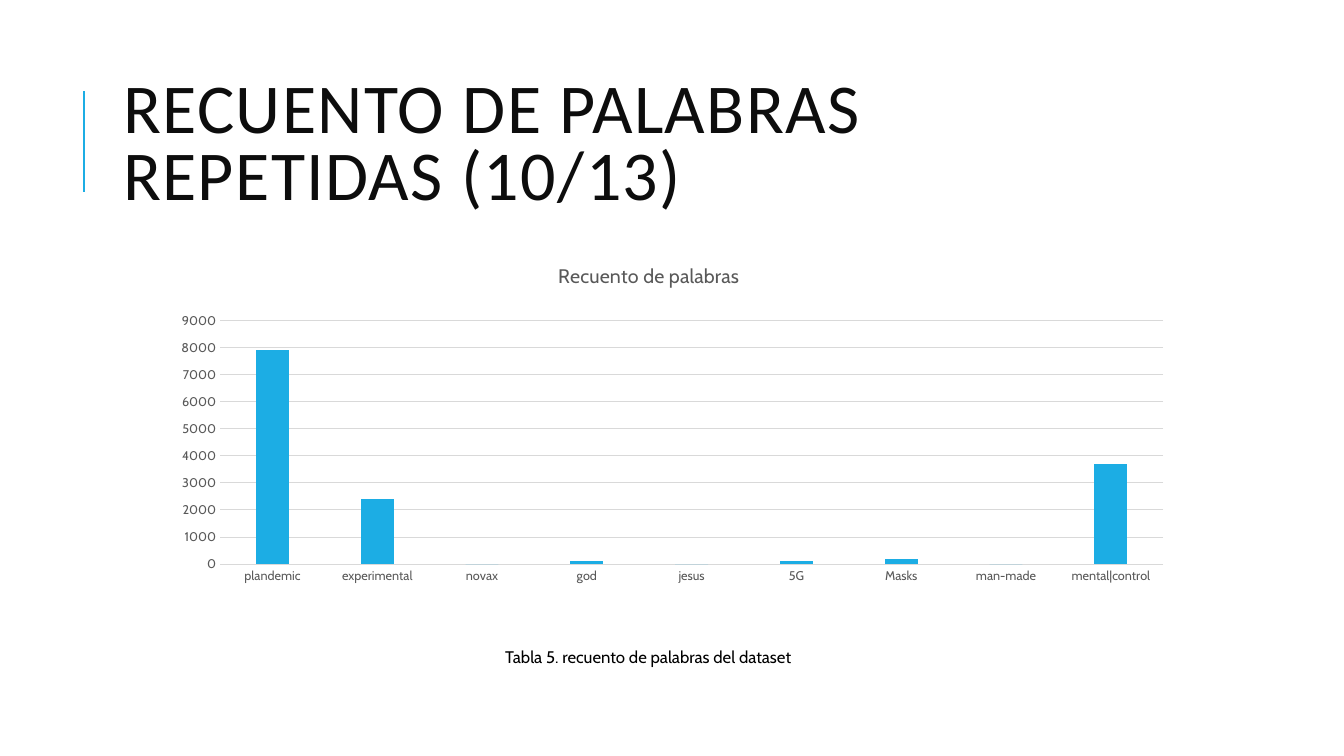
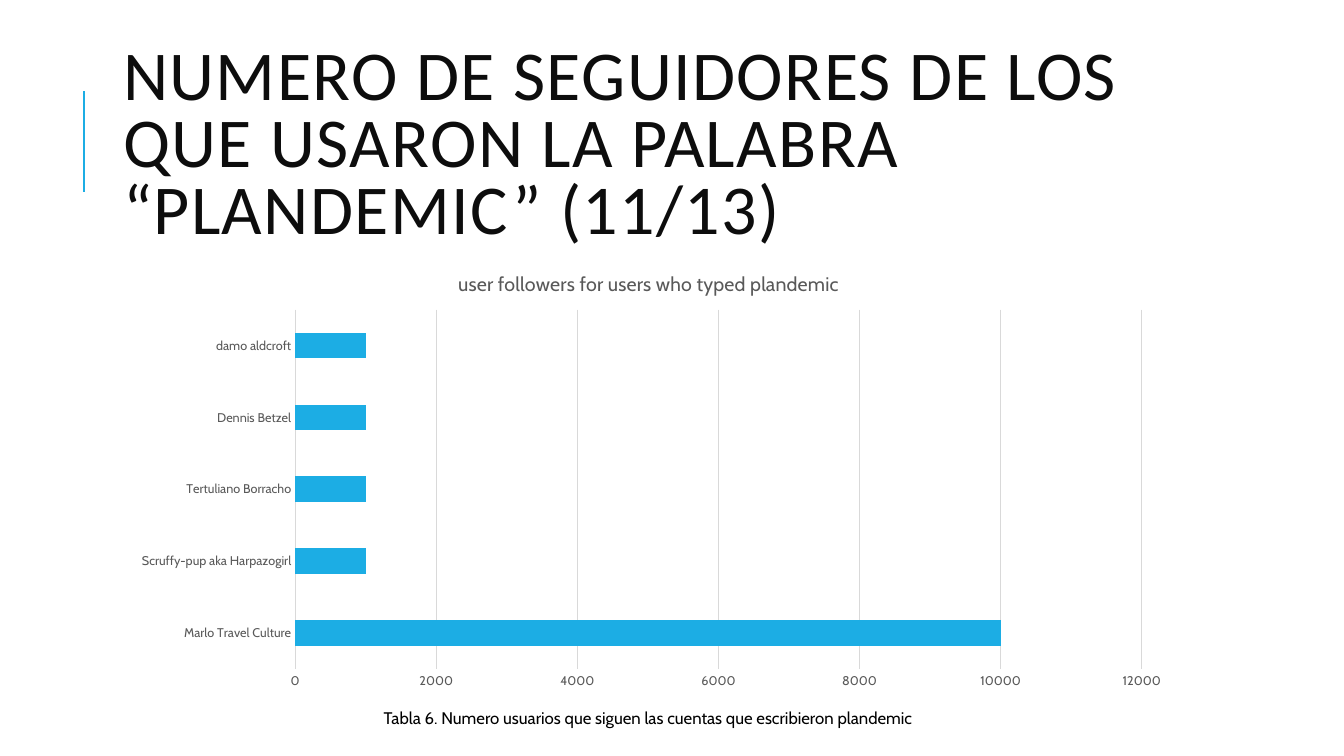
from pptx import Presentation
from pptx.chart.data import CategoryChartData as ChartData
from pptx.dml.color import RGBColor
from pptx.enum.chart import XL_CHART_TYPE as ChartType, XL_TICK_MARK as Tick
from pptx.enum.shapes import MSO_CONNECTOR as Connector
from pptx.enum.text import MSO_ANCHOR as Anchor, MSO_AUTO_SIZE as AutoSize, PP_ALIGN as Align
from pptx.oxml import parse_xml
from pptx.oxml.ns import nsdecls, qn
from pptx.util import Inches, Pt

COLORS = {
    "accent": "1CADE4",
    "title": "0D0D0D",
    "caption": "000000",
    "label": "595959",
    "grid": "D9D9D9",
}
FONTS = {
    "title": {"name": "Calibri", "size": Pt(50), "bold": False},
    "caption": {"name": "Cabin", "size": Pt(12)},
    "heading": {"name": "Cabin", "size": Pt(14), "bold": False},
    "axis": {"name": "Cabin", "size": Pt(9)},
}


def apply(target, values):
    for name, value in values.items():
        setattr(target, name, value)


def place(shape, left, top, width, height):
    apply(shape, {
        "left": Inches(left), "top": Inches(top),
        "width": Inches(width), "height": Inches(height),
    })


class Slides:
    def __init__(self):
        self.deck = Presentation()
        apply(self.deck, {"slide_width": Inches(13.33), "slide_height": Inches(7.5)})
        self.page = None

    def color(self, name):
        return RGBColor.from_string(COLORS[name])

    def font(self, font, style, color):
        apply(font, FONTS[style])
        font.color.rgb = self.color(color)

    def line(self, line, color, width):
        line.color.rgb = self.color(color)
        line.width = Pt(width)

    def add_page(self, title):
        self.page = self.deck.slides.add_slide(self.deck.slide_layouts[5])
        self.add_bar()
        self.add_title(title)

    def add_bar(self):
        bar = self.page.shapes.add_connector(
            Connector.STRAIGHT, Inches(0.83), Inches(1.9), Inches(0.83), Inches(0.9))
        self.line(bar.line, "accent", 1.5)
        bar.element.spPr.append(parse_xml(f"<a:effectLst {nsdecls('a')}/>"))

    def add_title(self, text):
        box = self.page.shapes.title
        place(box, 1.12, 0.64, 10.63, 1.64)
        frame = box.text_frame
        apply(frame, {"word_wrap": True, "auto_size": AutoSize.NONE,
                      "vertical_anchor": Anchor.MIDDLE})
        para = frame.paragraphs[0]
        apply(para, {"alignment": Align.LEFT, "line_spacing": 0.8})
        span = para.add_run()
        span.text = text
        self.font(span.font, "title", "title")
        span.font._element.set("spc", "100")

    def add_caption(self, text, top):
        box = self.page.shapes.add_textbox(
            Inches(1.43), Inches(top), Inches(10), Inches(0.3))
        box.text_frame.word_wrap = True
        para = box.text_frame.paragraphs[0]
        para.alignment = Align.CENTER
        span = para.add_run()
        span.text = text
        self.font(span.font, "caption", "caption")

    def add_chart(self, kind, heading, values, top, area, scale, bars):
        data = ChartData()
        data.categories = list(values)
        data.add_series(heading, list(values.values()))
        chart = self.page.shapes.add_chart(
            kind, Inches(1.12), Inches(top), Inches(10.63), Inches(4.4), data).chart
        chart.has_legend = False
        self.font(chart.font, "axis", "label")
        chart.has_title = True
        para = chart.chart_title.text_frame.paragraphs[0]
        span = para.add_run()
        span.text = heading
        self.font(span.font, "heading", "label")
        plot = chart.plots[0]
        apply(plot, {"vary_by_categories": False, **bars})
        series = plot.series[0]
        series.invert_if_negative = False
        series.format.fill.solid()
        series.format.fill.fore_color.rgb = self.color("accent")
        self.style_axes(chart, scale)
        self.set_plot_area(chart, area)

    def style_axes(self, chart, scale):
        category, value = chart.category_axis, chart.value_axis
        for axis in (category, value):
            apply(axis, {"major_tick_mark": Tick.NONE, "minor_tick_mark": Tick.NONE})
            self.font(axis.tick_labels.font, "axis", "label")
        self.line(category.format.line, "grid", 0.75)
        apply(value, {"has_major_gridlines": True, "minimum_scale": 0, **scale})
        value.format.line.fill.background()
        self.line(value.major_gridlines.format.line, "grid", 0.75)

    def set_plot_area(self, chart, area):
        plot_area = chart.element.find(qn("c:chart")).find(qn("c:plotArea"))
        for layout in plot_area.findall(qn("c:layout")):
            plot_area.remove(layout)
        sizes = "".join(f'<c:{key} val="{size}"/>' for key, size in zip("xywh", area))
        plot_area.insert(0, parse_xml(
            f"<c:layout {nsdecls('c')}><c:manualLayout>"
            '<c:layoutTarget val="inner"/><c:xMode val="edge"/><c:yMode val="edge"/>'
            f"{sizes}</c:manualLayout></c:layout>"))


def main():
    slides = Slides()

    slides.add_page("RECUENTO DE PALABRAS REPETIDAS (10/13)")
    slides.add_chart(
        ChartType.COLUMN_CLUSTERED, "Recuento de palabras",
        {"plandemic": 7900, "experimental": 2400, "novax": 0, "god": 100, "jesus": 0,
         "5G": 100, "Masks": 200, "man-made": 0, "mental|control": 3700},
        top=2.43, area=(0.1, 0.17, 0.88, 0.55),
        scale={"maximum_scale": 9000, "major_unit": 1000},
        bars={"gap_width": 219, "overlap": -27})
    slides.add_caption("Tabla 5. recuento de palabras del dataset", 6.37)

    slides.add_page("NUMERO DE SEGUIDORES DE LOS QUE USARON LA PALABRA “PLANDEMIC” (11/13)")
    slides.add_chart(
        ChartType.BAR_CLUSTERED, "user followers for users who typed plandemic",
        {"Marlo Travel Culture": 10000, "Scruffy-pup aka Harpazogirl": 1000,
         "Tertuliano Borracho": 1000, "Dennis Betzel": 1000, "damo aldcroft": 1000},
        top=2.5, area=(0.17, 0.13, 0.79, 0.81),
        scale={"maximum_scale": 12000, "major_unit": 2000},
        bars={"gap_width": 182})
    slides.add_caption(
        "Tabla 6. Numero usuarios que siguen las cuentas que escribieron plandemic", 6.97)

    slides.deck.save("out.pptx")


if __name__ == "__main__":
    main()
